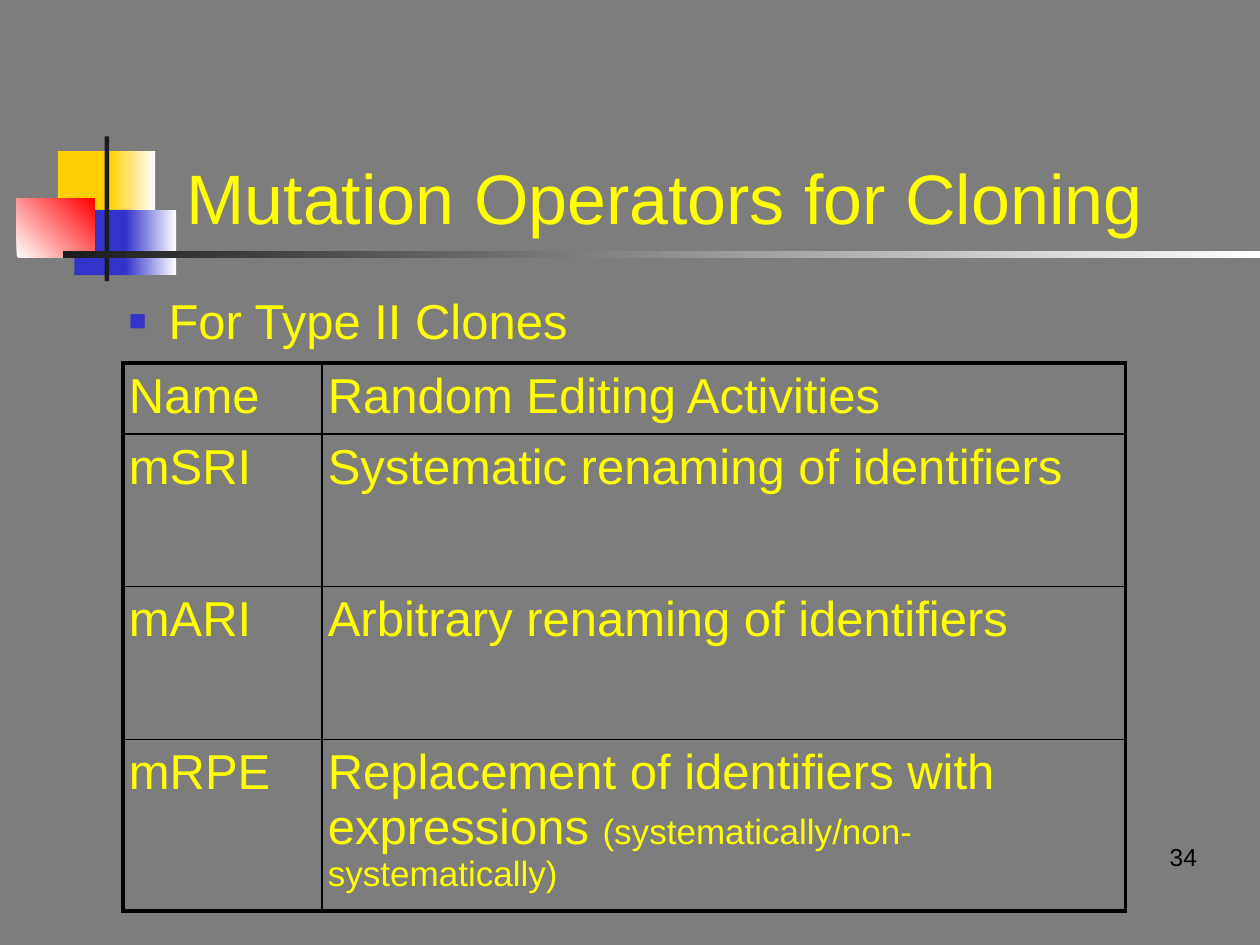
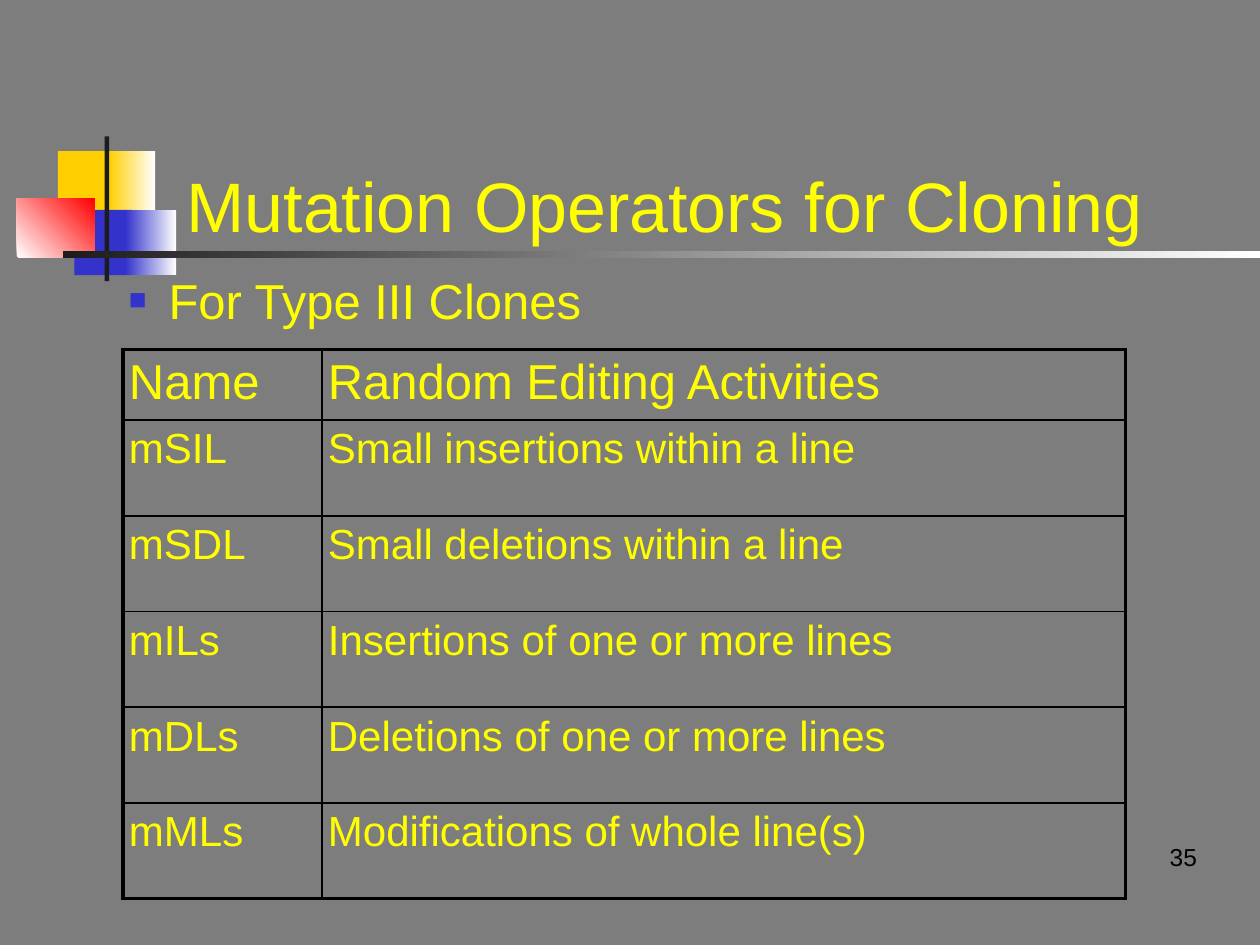
"""Builds two slides on mutation operators for cloning, each with a table."""
from lxml import etree
from pptx import Presentation
from pptx.dml.color import RGBColor
from pptx.enum.shapes import MSO_SHAPE
from pptx.enum.text import MSO_ANCHOR, PP_ALIGN
from pptx.oxml.ns import qn
from pptx.util import Cm, Pt

RECT = MSO_SHAPE.RECTANGLE
TOP, BOTTOM = MSO_ANCHOR.TOP, MSO_ANCHOR.BOTTOM
LEFT, RIGHT = PP_ALIGN.LEFT, PP_ALIGN.RIGHT

FONT = "Arial"
INK = {"back": "7D7D7D", "text": "FFFF00", "page": "000000", "rule": "000000",
       "gold": "FFCF01", "blue": "3333CC", "red": "FF0000",
       "dark": "1C1C1C", "white": "FFFFFF"}

TITLE = "Mutation Operators for Cloning"
HEAD = ("Name", "Random Editing Activities")
SLIDES = [
    {"page": "34", "title_top": 1.63, "lead": "For Type II Clones",
     "lead_top": 5.74, "table_top": 7.32, "size": 28,
     "heights": [1.35, 3.08, 3.08, 3.23],
     "rows": [("mSRI", "Systematic renaming of identifiers"),
              ("mARI", "Arbitrary renaming of identifiers"),
              ("mRPE", "Replacement of identifiers with expressions ",
               "(systematically/non-systematically)")]},
    {"page": "35", "title_top": 1.78, "lead": "For Type III Clones",
     "lead_top": 5.33, "table_top": 7.04, "size": 24,
     "heights": [1.35] + [1.93] * 5,
     "rows": [("mSIL", "Small insertions within a line"),
              ("mSDL", "Small deletions within a line"),
              ("mILs", "Insertions of one or more lines"),
              ("mDLs", "Deletions of one or more lines"),
              ("mMLs", "Modifications of whole line(s)")]},
]

DECOR = [
    ((1.17, 3.05, 1.22, 1.32), ("gold",), 0),
    ((2.2, 3.05, 0.93, 1.32), ("gold", "white"), 0),
    ((1.5, 4.23, 1.17, 1.32), ("blue",), 0),
    ((2.53, 4.23, 1.02, 1.32), ("blue", "white"), 0),
    ((0.34, 4.01, 1.57, 1.18), ("white", "red"), 45),
    ((2.11, 2.75, 0.09, 2.92), ("dark",), 0),
    ((1.27, 5.07, 24.13, 0.13), ("dark", "white"), 0),
]

EDGE = 2.48
COLS = (4.01, 16.2)
PAD = 0.12
NOTE = 20
THICK, THIN = 2.25, 1


def tint(name):
    return RGBColor.from_string(INK[name])


def add_run(para, text, size, ink="text"):
    run = para.add_run()
    run.text = text
    run.font.name = FONT
    run.font.size = Pt(size)
    run.font.color.rgb = tint(ink)


def add_text(slide, box, text, size, ink="text", anchor=TOP, align=LEFT, pad=0):
    frame = slide.shapes.add_textbox(*map(Cm, box)).text_frame
    frame.word_wrap = True
    frame.vertical_anchor = anchor
    frame.margin_left = frame.margin_right = Cm(pad)
    frame.margin_top = frame.margin_bottom = Cm(pad)
    para = frame.paragraphs[0]
    para.alignment = align
    add_run(para, text, size, ink)
    return para


def add_decor(slide):
    for box, inks, angle in DECOR:
        shape = slide.shapes.add_shape(RECT, *map(Cm, box))
        shape.shadow.inherit = False
        shape.line.fill.background()
        if len(inks) == 1:
            shape.fill.solid()
            shape.fill.fore_color.rgb = tint(inks[0])
            continue
        shape.fill.gradient()
        shape.fill.gradient_angle = angle
        for stop, ink in zip(shape.fill.gradient_stops, inks):
            stop.color.rgb = tint(ink)


def add_bullet(para):
    para.space_before = Pt(6)
    props = para._p.get_or_add_pPr()
    props.set("marL", str(Cm(0.8)))
    props.set("indent", str(-Cm(0.8)))
    color = etree.SubElement(props, qn("a:buClr"))
    etree.SubElement(color, qn("a:srgbClr"), val=INK["blue"])
    etree.SubElement(props, qn("a:buSzPct"), val="60000")
    etree.SubElement(props, qn("a:buFont"), typeface=FONT)
    etree.SubElement(props, qn("a:buChar"), char="■")


def add_rules(cell, outer):
    props = cell._tc.get_or_add_tcPr()
    for spot, (side, thick) in enumerate(zip("LRTB", outer)):
        line = etree.Element(qn("a:ln" + side),
                             w=str(Pt(THICK if thick else THIN)))
        fill = etree.SubElement(line, qn("a:solidFill"))
        etree.SubElement(fill, qn("a:srgbClr"), val=INK["rule"])
        props.insert(spot, line)


def add_grid(slide, data):
    rows = [HEAD] + data["rows"]
    box = (EDGE, data["table_top"], sum(COLS), sum(data["heights"]))
    table = slide.shapes.add_table(len(rows), len(COLS), *map(Cm, box)).table
    table.first_row = table.horz_banding = False
    for col, width in zip(table.columns, COLS):
        col.width = Cm(width)
    for row, height in zip(table.rows, data["heights"]):
        row.height = Cm(height)
    for i, (name, *parts) in enumerate(rows):
        size = data["size"] if i else 28
        for j, runs in enumerate(([name], parts)):
            cell = table.cell(i, j)
            cell.fill.background()
            cell.margin_left = cell.margin_right = Cm(PAD)
            cell.margin_top = cell.margin_bottom = Cm(PAD)
            para = cell.text_frame.paragraphs[0]
            for k, text in enumerate(runs):
                add_run(para, text, NOTE if k else size)
            add_rules(cell, (j == 0, j == len(COLS) - 1,
                             i == 0, i == len(rows) - 1))


def add_slide(deck, data):
    slide = deck.slides.add_slide(deck.slide_layouts[6])
    slide.background.fill.solid()
    slide.background.fill.fore_color.rgb = tint("back")
    add_decor(slide)
    add_text(slide, (18.85, 16.76, 5.28, 0.81), data["page"], 14, "page",
             BOTTOM, RIGHT)
    add_text(slide, (3.76, data["title_top"], 21.64, 3.18), TITLE, 40,
             anchor=BOTTOM)
    add_grid(slide, data)
    lead = add_text(slide, (EDGE, data["lead_top"], 9.6, 1.45), data["lead"],
                    28, pad=PAD)
    add_bullet(lead)


def main():
    deck = Presentation()
    deck.slide_width, deck.slide_height = Cm(25.4), Cm(19.05)
    for data in SLIDES:
        add_slide(deck, data)
    deck.save("out.pptx")


if __name__ == "__main__":
    main()
